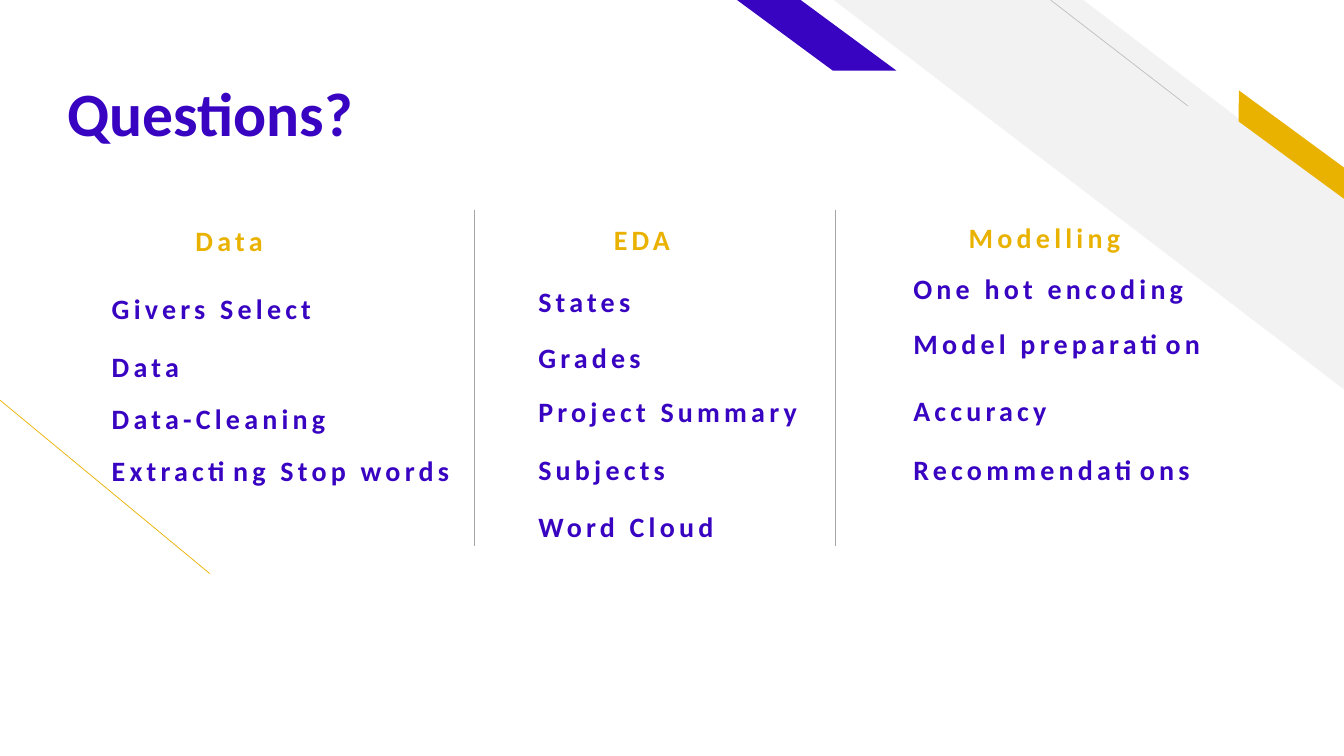
from pptx import Presentation
from pptx.dml.color import RGBColor
from pptx.enum.shapes import MSO_CONNECTOR, MSO_SHAPE
from pptx.enum.text import MSO_ANCHOR
from pptx.oxml.ns import qn
from pptx.util import Inches, Pt
from lxml import etree

STRIPE = MSO_SHAPE.DIAGONAL_STRIPE
PARALLELOGRAM = MSO_SHAPE.PARALLELOGRAM
STRAIGHT = MSO_CONNECTOR.STRAIGHT
TOP, BOTTOM = MSO_ANCHOR.TOP, MSO_ANCHOR.BOTTOM

SLIDE_W, SLIDE_H = 13.33, 7.5
FONT = "Calibri"
VIOLET, GOLD = "3803C1", "EAB200"
PALE, SILVER, GREY = "F2F2F2", "BFBFBF", "A6A6A6"
ROW_H = 0.67

TOPICS = [
    ((1.01, 2.21, 3.68, 3.34), "Data", 0.83,
     [("Givers Select", 0.67), ("Data", 1.25), ("Data-Cleaning", 1.76),
      ("Extracting Stop words", 2.28)]),
    ((5.24, 2.2, 3.22, 3.34), "EDA", 0.75,
     [("States", 0.61), ("Grades", 1.17), ("Project Summary", 1.7),
      ("Subjects", 2.28), ("Word Cloud", 2.84)]),
    ((8.96, 2.18, 3.18, 3.34), "Modelling", 0.55,
     [("One hot encoding", 0.5), ("Model preparation", 1.05),
      ("Accuracy", 1.71), ("Recommendations", 2.3)]),
]


def color(hex_code):
    return RGBColor.from_string(hex_code)


def add_text(slide, text, box, size=20, fill=VIOLET, spacing=0, before=0,
             anchor=TOP, bottom_inset=0.05):
    frame = slide.shapes.add_textbox(*map(Inches, box)).text_frame
    frame.word_wrap = True
    frame.vertical_anchor = anchor
    frame.margin_bottom = Inches(bottom_inset)
    paragraph = frame.paragraphs[0]
    paragraph.line_spacing = 0.9
    paragraph.space_before = Pt(before)
    run = paragraph.add_run()
    run.text = text
    run.font.name = FONT
    run.font.size = Pt(size)
    run.font.bold = True
    run.font.color.rgb = color(fill)
    if spacing:
        run.font._element.set("spc", str(spacing * 100))


def add_line(slide, start, end, stroke):
    line = slide.shapes.add_connector(STRAIGHT, *map(Inches, start + end))
    line.line.color.rgb = color(stroke)
    line.line.width = Pt(0.5)
    etree.SubElement(line._element.spPr, qn("a:effectLst"))


def add_band(slide, preset, box, slant, fill, rotation=0):
    band = slide.shapes.add_shape(preset, *map(Inches, box))
    band.shadow.inherit = False
    band.adjustments[0] = slant
    band.fill.solid()
    band.fill.fore_color.rgb = color(fill)
    band.line.fill.background()
    band.rotation = rotation
    band._element.spPr.find(qn("a:xfrm")).set("flipH", "1")


def draw_corner(slide, box):
    left, top, width, height = box
    add_band(slide, STRIPE, box, 0.512, PALE)
    add_line(slide, (left + 3.51, top + 1.05), (left + 2.15, top), SILVER)
    add_band(slide, PARALLELOGRAM, (left + 3.8, top + 1.31, 1.48, 0.25),
             0.72, GOLD, rotation=36.3)
    add_band(slide, PARALLELOGRAM, (left - 0.96, top, 1.58, 0.7),
             1.356, VIOLET)


def draw_topic(slide, box, heading, indent, questions):
    left, top, width, height = box
    add_text(slide, heading, (left + indent, top, width - indent, ROW_H),
             fill=GOLD, spacing=3, before=10)
    for question, offset in questions:
        add_text(slide, question, (left, top + offset, width, ROW_H),
                 spacing=3, before=10)


def draw_dividers(slide, box):
    left, top, width, height = box
    for x in (left, left + width):
        add_line(slide, (x, top), (x, top + height), GREY)


def main():
    deck = Presentation()
    deck.slide_width, deck.slide_height = Inches(SLIDE_W), Inches(SLIDE_H)
    slide = deck.slides.add_slide(deck.slide_layouts[6])
    add_line(slide, (2.08, 5.69), (0, 3.97), GOLD)
    draw_corner(slide, (8.27, 0, 5.07, 3.87))
    add_text(slide, "Questions?", (0.57, 0.23, 9.11, 1.26), size=44,
             anchor=BOTTOM, bottom_inset=0)
    for topic in TOPICS:
        draw_topic(slide, *topic)
    draw_dividers(slide, (4.7, 2.08, 3.59, 3.34))
    deck.save("out.pptx")


if __name__ == "__main__":
    main()
